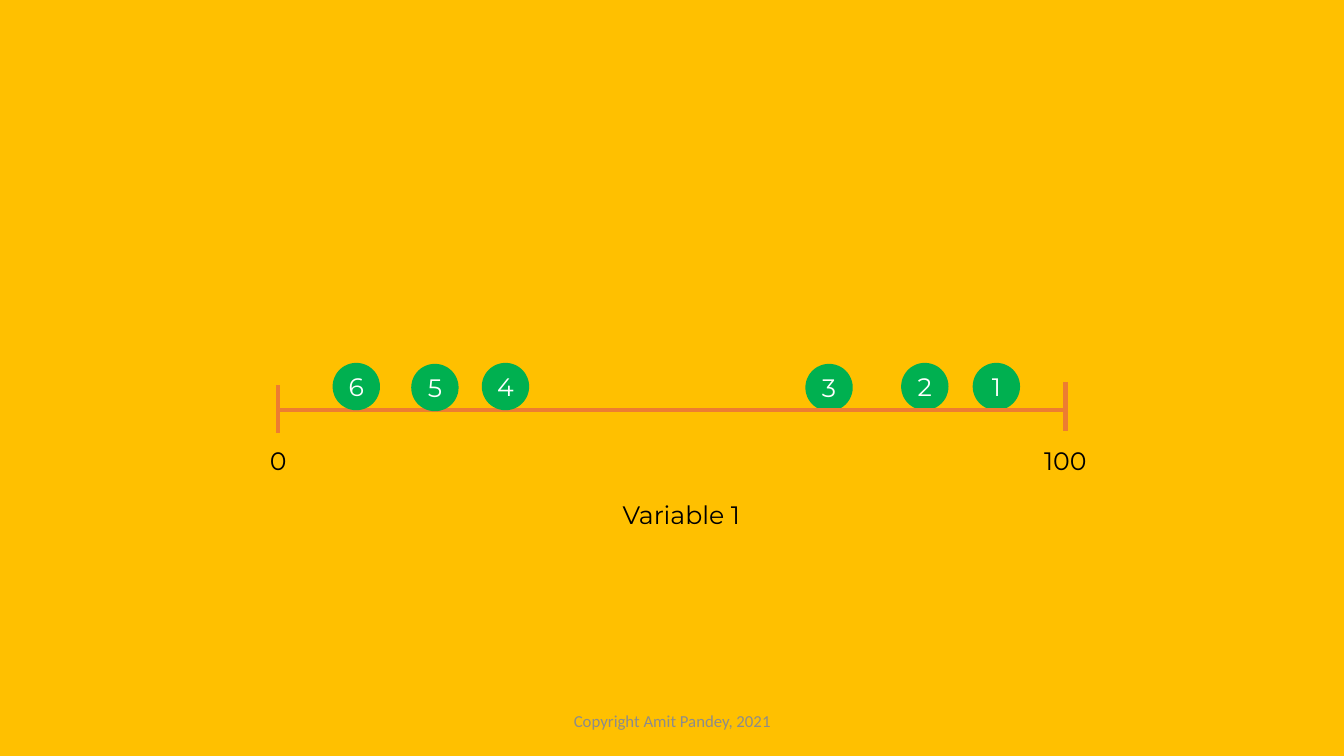
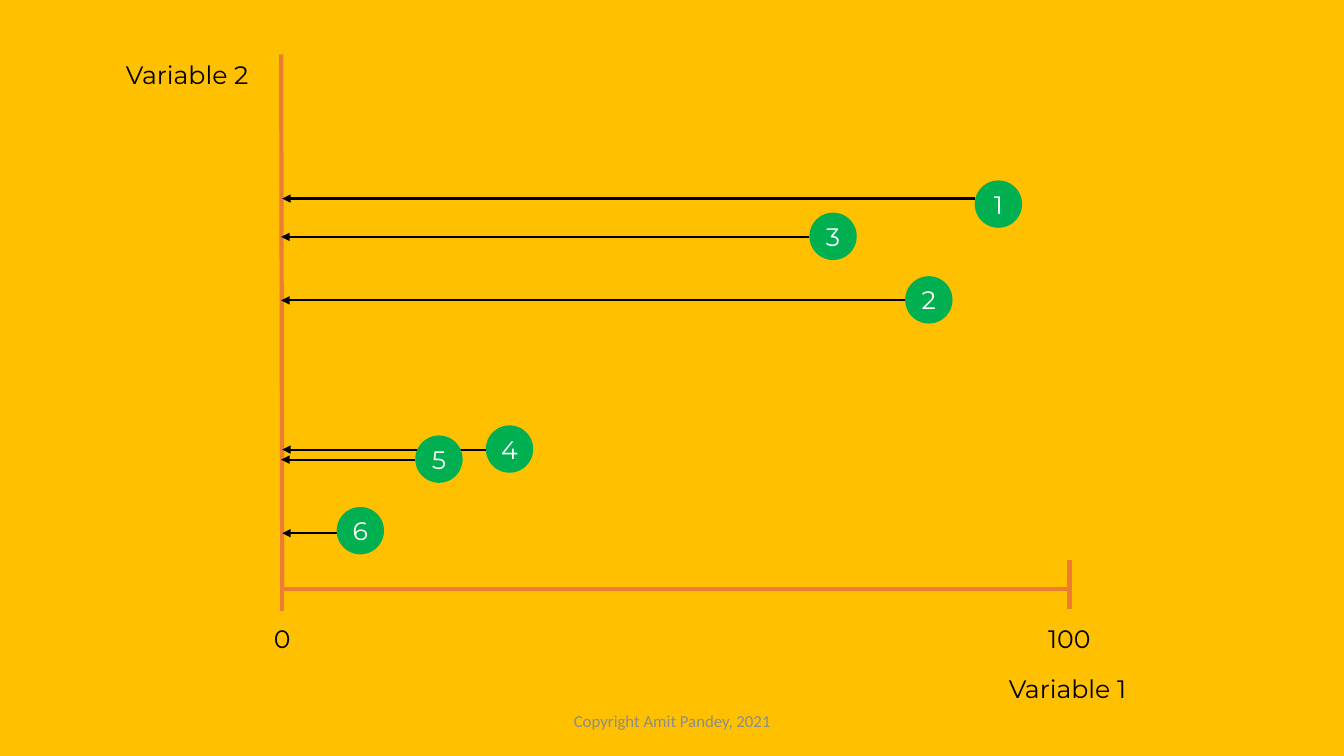
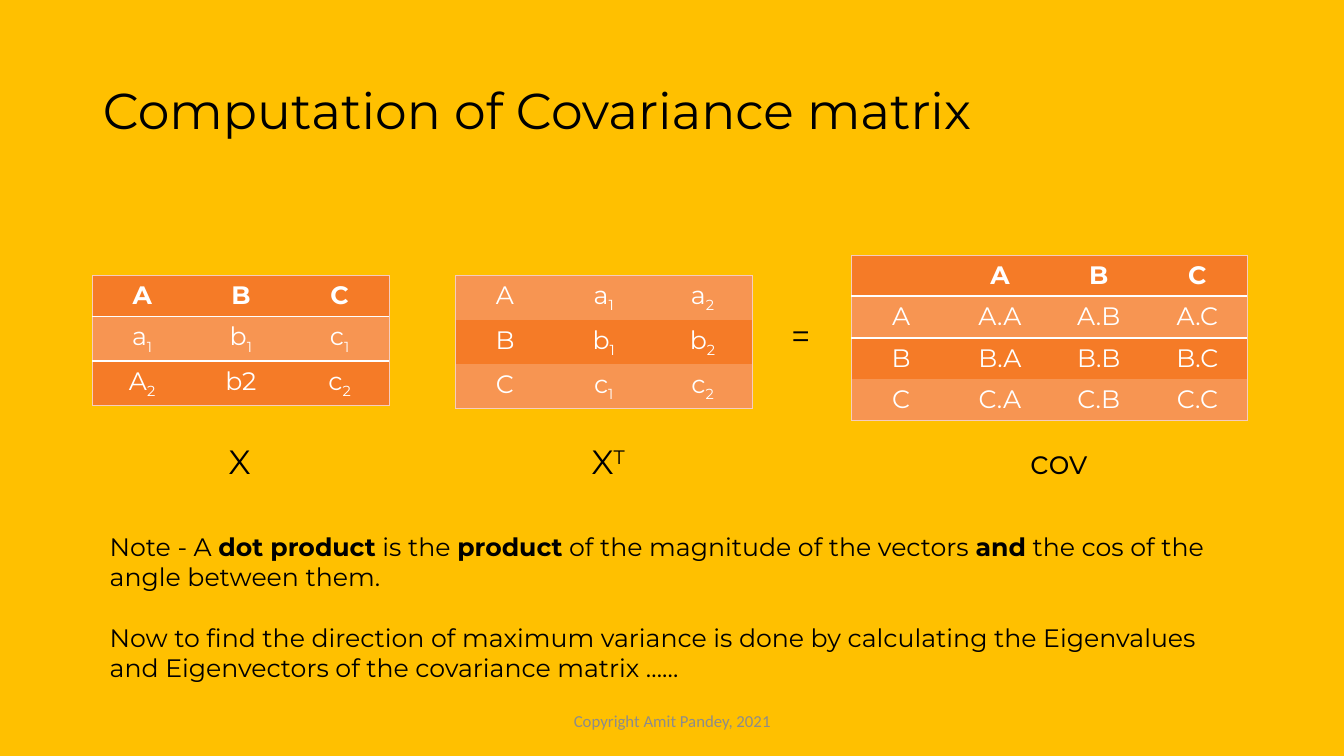
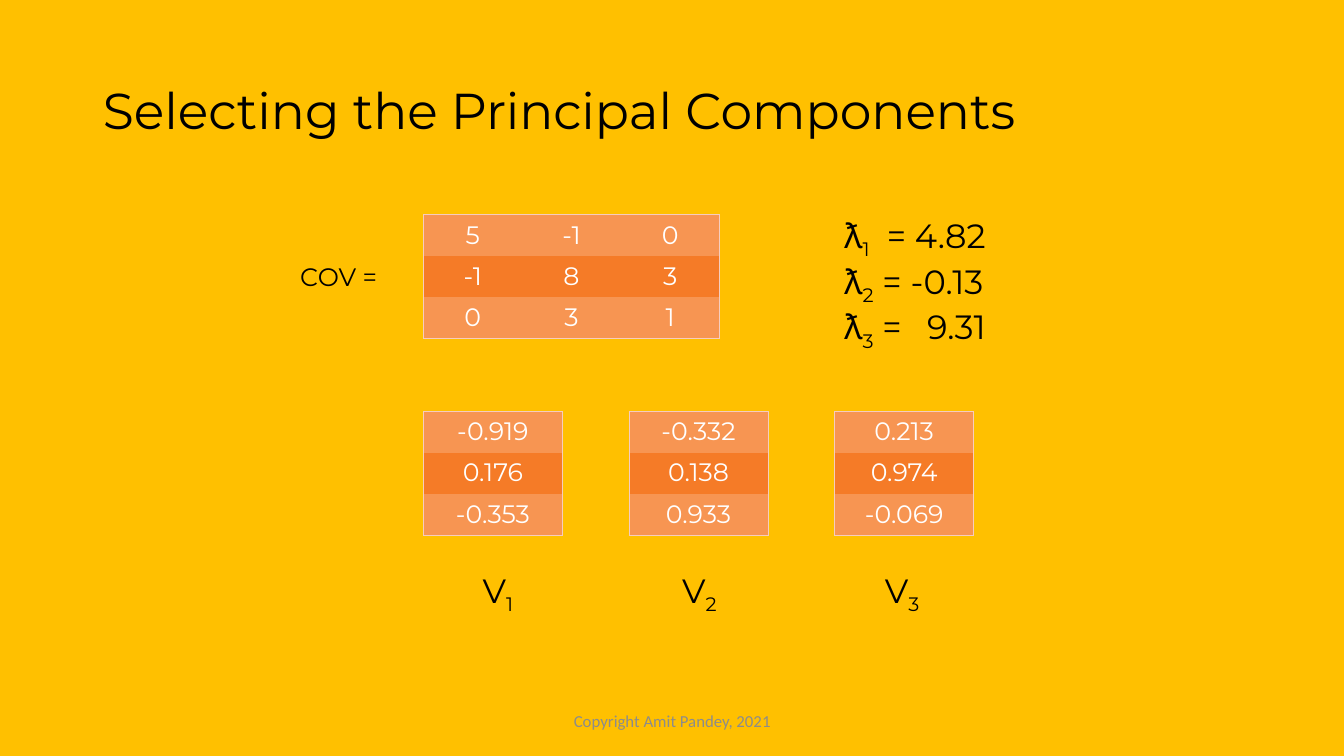
"""Build four slides on projecting variables, covariance and principal components."""
from lxml.etree import SubElement
from pptx import Presentation
from pptx.dml.color import RGBColor
from pptx.enum.shapes import MSO_CONNECTOR, MSO_SHAPE
from pptx.enum.text import MSO_ANCHOR, MSO_AUTO_SIZE, PP_ALIGN
from pptx.oxml.ns import qn
from pptx.util import Pt

PX = 9144
FONT = "Montserrat"
GOLD = RGBColor(0xFF, 0xC0, 0x00)
GREEN = RGBColor(0x00, 0xB0, 0x50)
AXIS = RGBColor(0xED, 0x7D, 0x31)
BLACK = RGBColor(0x00, 0x00, 0x00)
WHITE = RGBColor(0xFF, 0xFF, 0xFF)
GREY = RGBColor(0x8C, 0x8C, 0x8C)
ROW_DARK = RGBColor(0xF5, 0x7B, 0x27)
ROW_LIGHT = RGBColor(0xF7, 0x95, 0x52)
EDGE = RGBColor(0xF6, 0xCC, 0xBE)
NO_STYLE = "{2D5ABB26-0587-4C30-8999-92F81FD0307C}"
BASELINES = {"sub": "-25000", "sup": "30000"}


def write_runs(paragraph, runs, size, color=BLACK, font=FONT):
    for text, style in runs:
        run = paragraph.add_run()
        run.text = text
        run.font.size = Pt(size)
        run.font.name = font
        run.font.color.rgb = color
        run.font.bold = style == "bold"
        if style in BASELINES:
            run.font._element.set("baseline", BASELINES[style])


def add_label(slide, box, paragraphs, size, wrap=False):
    frame = slide.shapes.add_textbox(*(value * PX for value in box)).text_frame
    frame.word_wrap = wrap
    frame.auto_size = MSO_AUTO_SIZE.SHAPE_TO_FIT_TEXT
    for index, runs in enumerate(paragraphs):
        paragraph = frame.add_paragraph() if index else frame.paragraphs[0]
        write_runs(paragraph, runs, size)
    return frame


presentation = Presentation()
presentation.slide_width = 12192000
presentation.slide_height = 750 * PX
background = presentation.slide_master.background.fill
background.solid()
background.fore_color.rgb = GOLD
title_only, blank = presentation.slide_layouts[5], presentation.slide_layouts[6]

plots = [
    {
        "back_dots": [("1", 965, 360), ("2", 894, 360), ("3", 799, 361)],
        "axes": [(276, 407, 1057, 407), (276, 382, 276, 430), (1057, 379, 1057, 428)],
        "arrows": [],
        "front_dots": [("5", 408, 361), ("6", 330, 360), ("4", 478, 360)],
        "labels": [("Variable 1", 608, 490, 140), ("0", 258, 437, 37), ("100", 1026, 437, 63)],
    },
    {
        "back_dots": [],
        "axes": [(280, 584, 1061, 584), (280, 558, 280, 606), (1061, 556, 1061, 604),
                 (279, 54, 280, 585)],
        "arrows": [(334, 529, 280, 529), (412, 456, 279, 456), (482, 446, 280, 446),
                   (898, 298, 279, 298), (803, 235, 279, 235), (967, 197, 280, 197)],
        "front_dots": [("1", 967, 179), ("2", 898, 274), ("3", 803, 211),
                       ("6", 334, 503), ("4", 482, 422), ("5", 412, 432)],
        "labels": [("Variable 1", 991, 663, 140), ("0", 262, 613, 37),
                   ("100", 1030, 613, 63), ("Variable 2", 115, 54, 145)],
    },
]
for plot in plots:
    slide = presentation.slides.add_slide(blank)
    for layer in ("back_dots", "axes", "arrows", "front_dots"):
        for item in plot[layer]:
            if layer.endswith("dots"):
                number, left, top = item
                dot = slide.shapes.add_shape(MSO_SHAPE.OVAL, left * PX, top * PX, 47 * PX, 47 * PX)
                dot.shadow.inherit = False
                dot.fill.solid()
                dot.fill.fore_color.rgb = GREEN
                dot.line.fill.background()
                frame = dot.text_frame
                frame.margin_left = frame.margin_right = 0
                frame.margin_top = frame.margin_bottom = 0
                frame.vertical_anchor = MSO_ANCHOR.MIDDLE
                frame.paragraphs[0].alignment = PP_ALIGN.CENTER
                write_runs(frame.paragraphs[0], [(number, "")], 18, WHITE)
                continue
            line = slide.shapes.add_connector(MSO_CONNECTOR.STRAIGHT, *(value * PX for value in item))
            line.line.color.rgb = AXIS if layer == "axes" else BLACK
            line.line.width = Pt(3 if layer == "axes" else 1.5)
            properties = line._element.spPr
            if layer == "arrows":
                SubElement(properties.find(qn("a:ln")), qn("a:tailEnd"), type="triangle")
            SubElement(properties, qn("a:effectLst"))
    for text, left, top, width in plot["labels"]:
        add_label(slide, (left, top, width, 40), [[(text, "")]], 18)

matrix_slides = []
for heading in ("Computation of Covariance matrix", "Selecting the Principal Components"):
    slide = presentation.slides.add_slide(title_only)
    title = slide.shapes.title
    title.left, title.top, title.width, title.height = (value * PX for value in (92, 40, 1150, 145))
    title.text_frame.vertical_anchor = MSO_ANCHOR.MIDDLE
    paragraph = title.text_frame.paragraphs[0]
    paragraph.alignment = PP_ALIGN.LEFT
    paragraph.line_spacing = 0.9
    write_runs(paragraph, [(heading, "")], 36)
    matrix_slides.append(slide)
covariance_slide, components_slide = matrix_slides

tables = [
    (covariance_slide, 92, 273, 98, True,
     [["A", "B", "C"], ["a_1", "b_1", "c_1"], ["A_2", "b2", "c_2"]]),
    (covariance_slide, 452, 273, 98, False,
     [["A", "a_1", "a_2"], ["B", "b_1", "b_2"], ["C", "c_1", "c_2"]]),
    (covariance_slide, 845, 253, 98, True,
     [["", "A", "B", "C"]] + [[row] + [f"{row}.{column}" for column in "ABC"] for row in "ABC"]),
    (components_slide, 420, 213, 98, False,
     [["5", "-1", "0"], ["-1", "8", "3"], ["0", "3", "1"]]),
]
vectors = [("-0.919", "0.176", "-0.353"), ("-0.332", "0.138", "0.933"), ("0.213", "0.974", "-0.069")]
for index, vector in enumerate(vectors):
    tables.append((components_slide, 420 + 204 * index, 408, 138, False, [[value] for value in vector]))

for slide, left, top, column_width, header, rows in tables:
    row_count, column_count = len(rows), len(rows[0])
    table = slide.shapes.add_table(row_count, column_count, left * PX, top * PX,
                                   column_width * column_count * PX, 41 * row_count * PX).table
    table.first_row = header
    table.horz_banding = False
    table._tbl.tblPr.find(qn("a:tableStyleId")).text = NO_STYLE
    for column in table.columns:
        column.width = column_width * PX
    for row_index, row in enumerate(rows):
        table.rows[row_index].height = 41 * PX
        heading_row = header and row_index == 0
        for column_index, entry in enumerate(row):
            cell = table.cell(row_index, column_index)
            borders = {
                "a:lnL": (EDGE, 0.5) if column_index == 0 else None,
                "a:lnR": (EDGE, 0.5) if column_index == column_count - 1 else None,
                "a:lnT": (EDGE, 0.5) if row_index == 0 else None,
                "a:lnB": (EDGE, 0.5) if row_index == row_count - 1 else None,
            }
            if heading_row:
                borders["a:lnB"] = (WHITE, 1.5)
            elif header and row_index == 1:
                borders["a:lnT"] = (WHITE, 1.5)
            cell_properties = cell._tc.get_or_add_tcPr()
            for tag, border in borders.items():
                if border:
                    color, width = border
                    edge = SubElement(cell_properties, qn(tag), w=str(Pt(width)))
                    SubElement(SubElement(edge, qn("a:solidFill")), qn("a:srgbClr"), val=str(color))
            cell.fill.solid()
            light = (row_index % 2 == 0) != header
            cell.fill.fore_color.rgb = ROW_LIGHT if light else ROW_DARK
            base, _, subscript = entry.partition("_")
            runs = [(base, "bold" if heading_row else ""), (subscript, "sub")]
            paragraph = cell.text_frame.paragraphs[0]
            paragraph.alignment = PP_ALIGN.CENTER
            write_runs(paragraph, [run for run in runs if run[0]], 18, WHITE)

for runs, left, top, width in [
    ([("X", "")], 217, 433, 42),
    ([("X", ""), ("T", "sup")], 577, 433, 55),
    ([("cov", "")], 1012, 433, 78),
    ([("=", "")], 775, 308, 39),
]:
    add_label(covariance_slide, (left, top, width, 50), [runs], 24)

note = add_label(covariance_slide, (99, 522, 1113, 162), [
    [("Note - A ", ""), ("dot product", "bold"), (" is the ", ""), ("product", "bold"),
     (" of the magnitude of the vectors ", ""), ("and", "bold"),
     (" the cos of the angle between them.", "")],
    [("Now to find the direction of maximum variance is done by calculating the Eigenvalues "
      "and Eigenvectors of the covariance matrix ……", "")],
], 18, wrap=True)
note.paragraphs[1].space_before = Pt(22)

add_label(components_slide, (288, 254, 105, 40), [[("COV =", "")]], 18)
eigenvalues = add_label(components_slide, (828, 208, 180, 131), [
    [("ƛ", ""), (number, "sub"), (value, "")]
    for number, value in (("1", "\t= 4.82"), ("2", " = -0.13"), ("3", " =\t9.31"))
], 24, wrap=True)
for row_index, position in ((0, 42), (2, 82)):
    paragraph_properties = eigenvalues.paragraphs[row_index]._p.get_or_add_pPr()
    tabs = SubElement(paragraph_properties, qn("a:tabLst"))
    SubElement(tabs, qn("a:tab"), pos=str(position * PX), algn="l")
for number, left, width in (("1", 469, 52), ("2", 667, 56), ("3", 868, 56)):
    add_label(components_slide, (left, 560, width, 50), [[("V", ""), (number, "sub")]], 24)

for slide in presentation.slides:
    footer = slide.shapes.add_textbox(442 * PX, 695 * PX, 450 * PX, 40 * PX).text_frame
    footer.word_wrap = True
    footer.vertical_anchor = MSO_ANCHOR.MIDDLE
    footer.paragraphs[0].alignment = PP_ALIGN.CENTER
    write_runs(footer.paragraphs[0], [("Copyright Amit Pandey, 2021", "")], 12, GREY, "Calibri")

presentation.save("out.pptx")
